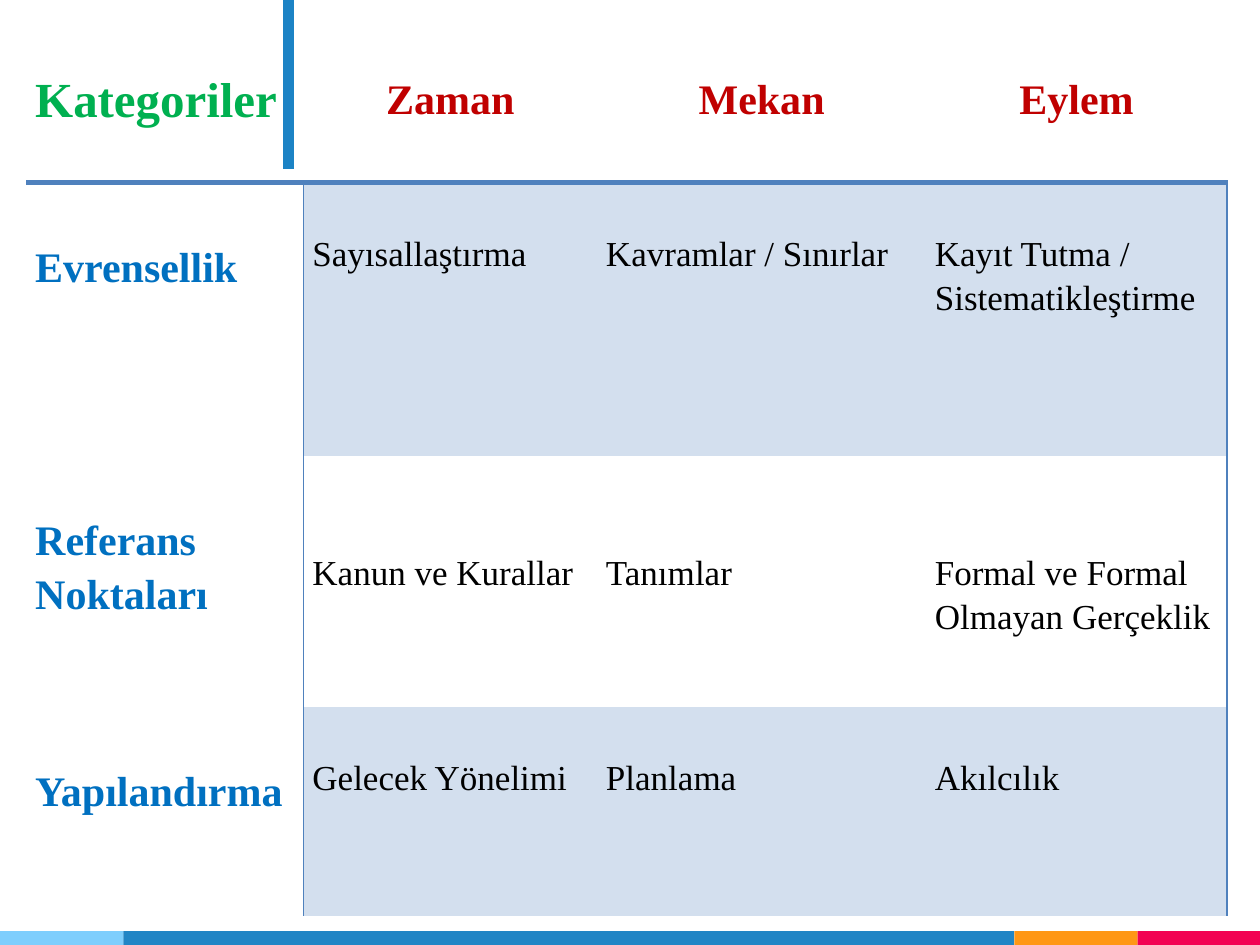
from lxml.etree import SubElement, Element
from pptx import Presentation
from pptx.dml.color import RGBColor
from pptx.enum.shapes import MSO_CONNECTOR as Conn, MSO_SHAPE as Shape
from pptx.enum.text import MSO_ANCHOR as Anchor, PP_ALIGN as Align
from pptx.oxml.ns import qn
from pptx.util import Inches, Pt

WHITE = RGBColor(0xFF, 0xFF, 0xFF)
BLACK = RGBColor(0, 0, 0)
GREEN = RGBColor(0x00, 0xB0, 0x50)
RED = RGBColor(0xC0, 0x00, 0x00)
BLUE = RGBColor(0x00, 0x70, 0xC0)
BAND = RGBColor(0xD3, 0xDF, 0xEE)
EDGE = RGBColor(0x4F, 0x81, 0xBD)
RULE = RGBColor(0x1C, 0x83, 0xC5)
SKY = RGBColor(0x7E, 0xCE, 0xFD)
OCEAN = RGBColor(0x21, 0x85, 0xC5)
ORANGE = RGBColor(0xFF, 0x97, 0x15)
PINK = RGBColor(0xF2, 0x02, 0x53)


def set_edges(cell, widths):
    props = cell._tc.get_or_add_tcPr()
    for i, side in enumerate("LRTB"):
        line = Element(qn(f"a:ln{side}"), w=str(Pt(widths.get(side, 0))))
        if side in widths:
            paint = SubElement(line, qn("a:solidFill"))
            SubElement(paint, qn("a:srgbClr"), val=str(EDGE))
        else:
            SubElement(line, qn("a:noFill"))
        props.insert(i, line)


prs = Presentation()
prs.slide_width, prs.slide_height = Inches(10), Inches(7.5)
slide = prs.slides.add_slide(prs.slide_layouts[6])
shapes = slide.shapes

left = 0
for width, color in [(0.98, SKY), (7.07, OCEAN), (0.98, ORANGE), (0.97, PINK)]:
    bar = shapes.add_shape(Shape.RECTANGLE, Inches(left), Inches(7.39),
                           Inches(width), Inches(0.11))
    bar.shadow.inherit = False
    bar.fill.solid()
    bar.fill.fore_color.rgb = color
    bar.line.fill.background()
    left += width

rows = [
    ["Kategoriler", "Zaman", "Mekan", "Eylem"],
    ["Evrensellik", "Sayısallaştırma", "Kavramlar / Sınırlar",
     "Kayıt Tutma / Sistematikleştirme"],
    ["Referans Noktaları", "Kanun ve Kurallar", "Tanımlar",
     "Formal ve Formal Olmayan Gerçeklik"],
    ["Yapılandırma", "Gelecek Yönelimi", "Planlama", "Akılcılık"],
]
widths = [2.2, 2.33, 2.61, 2.39]
heights = [1.37, 2.17, 1.99, 1.66]
drops = [0, 0.37, 0.73, 0.37]

table = shapes.add_table(4, 4, Inches(0.21), Inches(0.08),
                         Inches(sum(widths)), Inches(sum(heights))).table
table.first_row = table.horz_banding = False
for col, width in zip(table.columns, widths):
    col.width = Inches(width)
for row, height in zip(table.rows, heights):
    row.height = Inches(height)

for r, texts in enumerate(rows):
    for c, text in enumerate(texts):
        cell = table.cell(r, c)
        cell.margin_left = cell.margin_right = Inches(0.07)
        cell.margin_top = cell.margin_bottom = 0
        cell.text = text
        para = cell.text_frame.paragraphs[0]
        para.line_spacing = 1.15
        font = para.font
        font.name = "Times New Roman"
        font.bold = r == 0 or c == 0
        edges = {}
        if r == 0:
            cell.vertical_anchor = Anchor.MIDDLE
            para.alignment = Align.CENTER if c else Align.LEFT
            size, color = (24, RED) if c else (28, GREEN)
            edges["B"] = 3
        else:
            size, color = (20, BLACK) if c else (24, BLUE)
            cell.margin_top = Inches(drops[r] if c else 0.44)
            if r == 1:
                edges["T"] = 3
            if c == 1:
                edges["L"] = 1
            if c in (0, 3):
                edges["R"] = 1
        font.size = Pt(size)
        font.color.rgb = color
        cell.fill.solid()
        cell.fill.fore_color.rgb = BAND if c and r in (1, 3) else WHITE
        set_edges(cell, edges)

rule = shapes.add_connector(Conn.STRAIGHT, Inches(2.29), 0,
                            Inches(2.29), Inches(1.34))
rule.line.color.rgb = RULE
rule.line.width = Pt(6.25)
SubElement(rule._element.spPr, qn("a:effectLst"))

prs.save("out.pptx")
